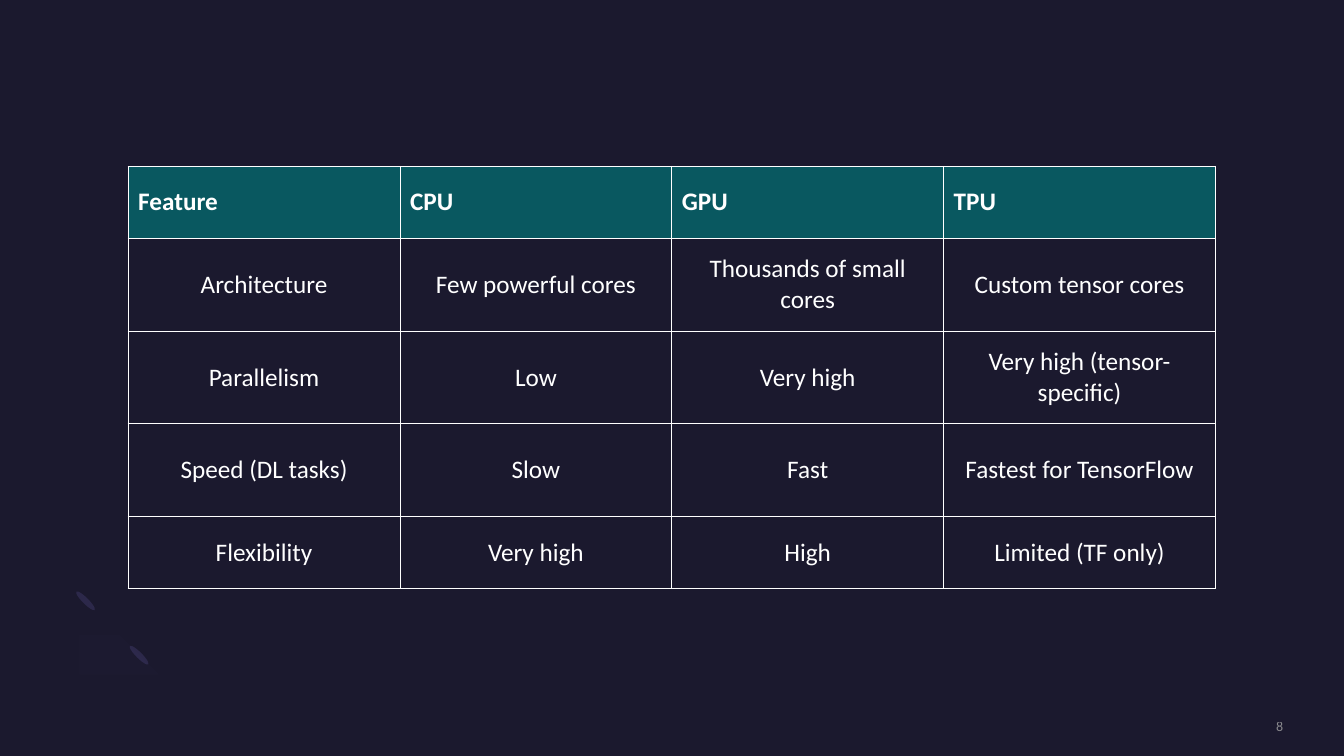
from dataclasses import dataclass

from lxml import etree
from pptx import Presentation
from pptx import util as u
from pptx.dml.color import RGBColor
from pptx.enum import shapes, text
from pptx.oxml import ns


@dataclass(frozen=True)
class Theme:
    font: str = "Calibri"
    back: str = "1B192E"
    head: str = "095860"
    ink: str = "FFFFFF"
    page: str = "A6A6A6"
    dot: str = "2C284A"
    arc: str = "7771B2"
    body: int = 18
    small: int = 10
    rule: float = 0.75


def fade(node, pct):
    """Set the opacity of the one solid colour under node."""
    color = next(node.iter(ns.qn("a:srgbClr")))
    etree.SubElement(color, ns.qn("a:alpha"), val=str(pct * 1000))


class Deck:
    def __init__(self, theme):
        self.theme = theme
        self.prs = Presentation()
        self.prs.slide_width = u.Cm(33.87)
        self.prs.slide_height = u.Cm(19.05)
        self.slide = self.prs.slides.add_slide(self.prs.slide_layouts[6])
        self.paint(self.slide.background.fill, theme.back)

    def paint(self, fill, color):
        fill.solid()
        fill.fore_color.rgb = RGBColor.from_string(color)

    def label(self, para, words, size, color, bold=False):
        run = para.add_run()
        run.text = words
        run.font.name = self.theme.font
        run.font.size = u.Pt(size)
        run.font.bold = bold
        self.paint(run.font.fill, color)
        return run

    def plain(self, shape, color):
        shape.shadow.inherit = False
        shape.line.fill.background()
        self.paint(shape.fill, color)

    def dot(self, x, y, w, h, turn):
        oval = self.slide.shapes.add_shape(
            shapes.MSO_SHAPE.OVAL, u.Cm(x), u.Cm(y), u.Cm(w), u.Cm(h))
        oval.rotation = turn
        self.plain(oval, self.theme.dot)

    def arc(self, start, parts, pct):
        """Outline from line ends (1 point) and cubic curves (3 points)."""
        points, last = [], start
        for part in parts:
            if len(part) == 1:
                points += part
            else:
                b, c, d = part
                for k in range(1, 13):
                    t = k / 12
                    s = 1 - t
                    points.append(tuple(
                        s**3 * p + 3 * s * s * t * q + 3 * s * t * t * r + t**3 * e
                        for p, q, r, e in zip(last, b, c, d)))
            last = part[-1]
        pen = self.slide.shapes.build_freeform(*start, scale=u.Cm(1))
        pen.add_line_segments(points, close=True)
        shape = pen.convert_to_shape()
        self.plain(shape, self.theme.arc)
        fade(shape._element.spPr, pct)

    def edge(self, cell):
        props = cell._tc.get_or_add_tcPr()
        for side in ("lnL", "lnR", "lnT", "lnB"):
            line = etree.SubElement(props, ns.qn("a:" + side),
                                    w=str(u.Pt(self.theme.rule)))
            fill = etree.SubElement(line, ns.qn("a:solidFill"))
            etree.SubElement(fill, ns.qn("a:srgbClr"), val=self.theme.ink)

    def table(self, x, y, wide, highs, rows):
        count = len(rows[0])
        frame = self.slide.shapes.add_table(
            len(rows), count, u.Cm(x), u.Cm(y), u.Cm(wide * count), u.Cm(sum(highs)))
        grid = frame.table
        grid.first_row = grid.horz_banding = False
        for col in grid.columns:
            col.width = u.Cm(wide)
        for i, (row, high) in enumerate(zip(rows, highs)):
            grid.rows[i].height = u.Cm(high)
            for j, words in enumerate(row):
                cell = grid.cell(i, j)
                cell.vertical_anchor = text.MSO_ANCHOR.MIDDLE
                self.edge(cell)
                para = cell.text_frame.paragraphs[0]
                if i == 0:
                    self.paint(cell.fill, self.theme.head)
                else:
                    cell.fill.background()
                    para.alignment = text.PP_ALIGN.CENTER
                self.label(para, words, self.theme.body, self.theme.ink, i == 0)

    def page(self, x, y, w, h, words):
        box = self.slide.shapes.add_textbox(u.Cm(x), u.Cm(y), u.Cm(w), u.Cm(h))
        frame = box.text_frame
        frame.word_wrap = True
        frame.vertical_anchor = text.MSO_ANCHOR.MIDDLE
        frame.margin_left = frame.margin_right = 0
        frame.margin_top = frame.margin_bottom = 0
        para = frame.paragraphs[0]
        para.alignment = text.PP_ALIGN.RIGHT
        run = self.label(para, words, self.theme.small, self.theme.page)
        fade(run._r, 80)


def main():
    deck = Deck(Theme())

    # Corner ornament
    for x, y in ((3.43, 16.18), (2.08, 14.81)):
        deck.dot(x, y, 0.15, 0.66, 135)
    deck.arc((1.93, 16.74), [
        [(1.42, 16.23), (1.47, 15.37), (2.06, 14.78)],
        [(2.51, 15.24)],
        [(2.21, 15.52), (2.18, 15.98), (2.44, 16.21)],
        [(2.69, 16.46), (3.12, 16.43), (3.43, 16.15)],
        [(3.86, 16.61)],
        [(3.3, 17.17), (2.41, 17.25), (1.93, 16.74)],
    ], 2)

    # Comparison table
    deck.table(3.23, 4.19, 6.85, (1.81, 2.34, 2.34, 2.34, 1.81), (
        ("Feature", "CPU", "GPU", "TPU"),
        ("Architecture", "Few powerful cores", "Thousands of small cores",
         "Custom tensor cores"),
        ("Parallelism", "Low", "Very high", "Very high (tensor-specific)"),
        ("Speed (DL tasks)", "Slow", "Fast", "Fastest for TensorFlow"),
        ("Flexibility", "Very high", "High", "Limited (TF only)"),
    ))

    # Slide number
    deck.page(27.64, 18.08, 4.7, 0.43, "8")

    deck.prs.save("out.pptx")


if __name__ == "__main__":
    main()
